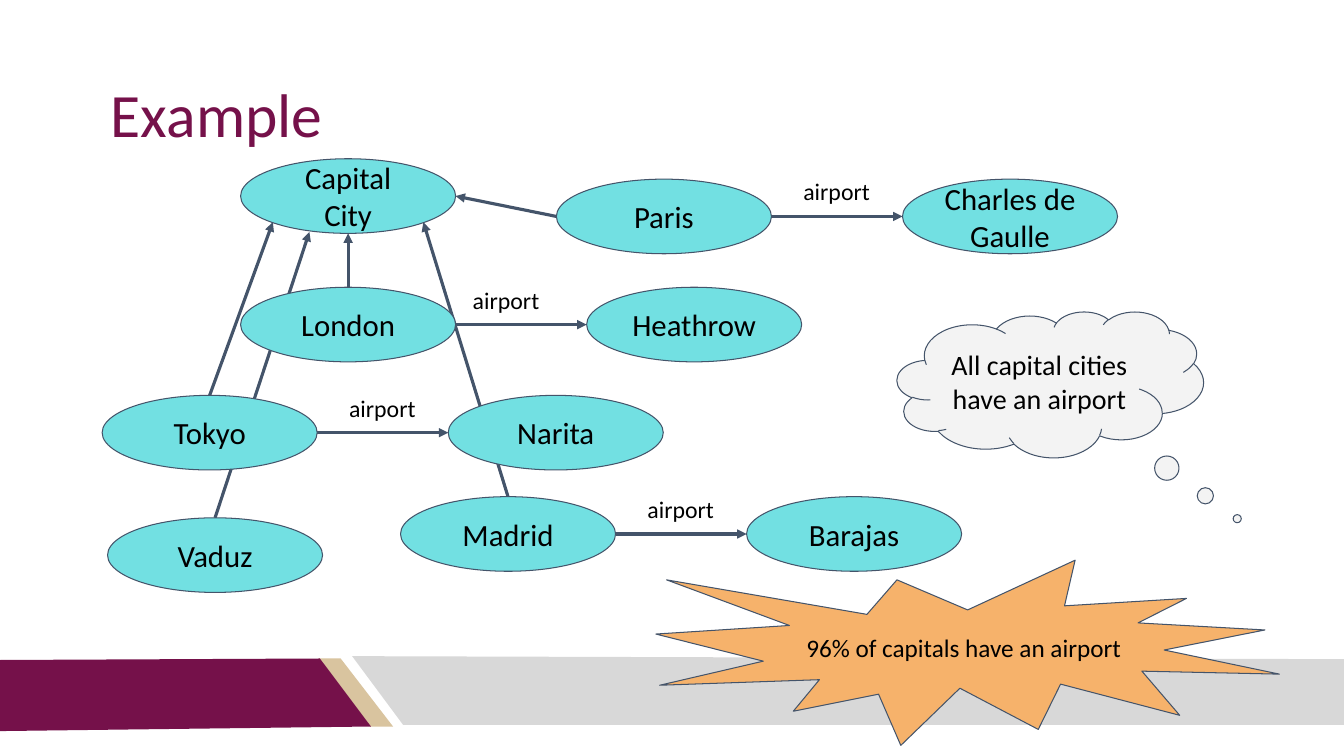
from lxml import etree
from pptx import Presentation
from pptx.dml.color import RGBColor
from pptx.enum.shapes import MSO_CONNECTOR as Connector, MSO_SHAPE as Shape
from pptx.enum.text import MSO_ANCHOR as Anchor, MSO_AUTO_SIZE as AutoSize, PP_ALIGN as Align
from pptx.oxml.ns import qn
from pptx.util import Inches, Pt

SLIDE_WIDTH, SLIDE_HEIGHT = Inches(13.33), Inches(7.5)
FONT = "Calibri"
COLORS = {
    "maroon": "75114A", "tan": "D9C49F", "band": "D8D8D8",
    "node": "72E0E2", "cloud": "F3F3F3", "burst": "F6B26B",
    "outline": "44546A", "text": "000000",
}

# All lengths are percent of the slide's width and height
NODE_WIDTH, NODE_HEIGHT = 16, 9.87
AIRPORT_STEP = 25.75
LABEL_WIDTH, LABEL_HEIGHT, LABEL_RISE = 7.5, 6.5, 1.6
CLASS_NODE = ("Capital City", 17.9, 21)

# Points on an oval, as shares of its width and height
TOP, LEFT, BOTTOM, RIGHT = (0.5, 0), (0, 0.5), (0.5, 1), (1, 0.5)
LOWER_LEFT, LOWER_RIGHT, NEAR_BOTTOM = (0.15, 0.85), (0.85, 0.85), (0.32, 0.98)

# City, left, top, airport, label gap, arrow start, arrow end on the class oval
CITIES = [
    ("London", 17.9, 38, "Heathrow", 0, TOP, BOTTOM),
    ("Tokyo", 7.6, 52.3, "Narita", 1.1, TOP, LOWER_LEFT),
    ("Paris", 41.4, 23.7, "Charles de Gaulle", 1.1, LEFT, RIGHT),
    ("Madrid", 29.8, 65.7, "Barajas", 1.1, TOP, LOWER_RIGHT),
    ("Vaduz", 8, 68.5, None, 0, TOP, NEAR_BOTTOM),
]

FOOTER = [
    ("tan", [(23.7, 87.1), (25.35, 87.1), (29.25, 96.1), (27.55, 96.1)]),
    ("maroon", [(0, 87.3), (23.8, 87.1), (27.6, 96.1), (0, 96.7)]),
    ("band", [(26.2, 86.8), (100, 87.2), (100, 95.9), (30, 95.9)]),
]


def color(name):
    return RGBColor.from_string(COLORS[name])


def place(x, y):
    return round(SLIDE_WIDTH * x / 100), round(SLIDE_HEIGHT * y / 100)


def write(shape, text, size, ink="text", align=Align.CENTER, anchor=Anchor.MIDDLE):
    frame = shape.text_frame
    frame.text = text
    frame.word_wrap = True
    frame.vertical_anchor = anchor
    frame.margin_left = frame.margin_right = Inches(0.1)
    frame.margin_top = frame.margin_bottom = Inches(0.1)
    para = frame.paragraphs[0]
    para.alignment = align
    font = para.runs[0].font
    font.name, font.size = FONT, Pt(size)
    font.color.rgb = color(ink)


def add_title(page, text):
    title = page.shapes.title
    title.left, title.top = place(7.5, 5.9)
    title.width, title.height = place(86.25, 19.3)
    write(title, text, 44, "maroon", Align.LEFT)
    title.text_frame.auto_size = AutoSize.NONE
    title.text_frame.paragraphs[0].line_spacing = 0.9


def add_footer_part(page, fill, points):
    corners = [place(*point) for point in points]
    builder = page.shapes.build_freeform(*corners[0])
    builder.add_line_segments(corners[1:], close=True)
    part = builder.convert_to_shape()
    part.shadow.inherit = False
    part.fill.solid()
    part.fill.fore_color.rgb = color(fill)
    part.line.fill.background()


def add_figure(page, kind, x, y, width, height, fill, text, size):
    figure = page.shapes.add_shape(kind, *place(x, y), *place(width, height))
    figure.shadow.inherit = False
    figure.fill.solid()
    figure.fill.fore_color.rgb = color(fill)
    figure.line.color.rgb = color("outline")
    figure.line.width = Pt(0.75)
    write(figure, text, size)
    return figure


def add_node(page, text, x, y):
    add_figure(page, Shape.OVAL, x, y, NODE_WIDTH, NODE_HEIGHT, "node", text, 22)


def node_point(x, y, share):
    return place(x + NODE_WIDTH * share[0], y + NODE_HEIGHT * share[1])


def add_arrow(page, start, end):
    arrow = page.shapes.add_connector(Connector.STRAIGHT, *start, *end)
    arrow.line.color.rgb = color("outline")
    arrow.line.width = Pt(2.25)
    etree.SubElement(arrow.line._get_or_add_ln(), qn("a:tailEnd"), type="triangle")
    etree.SubElement(arrow._element.spPr, qn("a:effectLst"))


def add_label(page, text, x, y):
    box = page.shapes.add_textbox(*place(x, y), *place(LABEL_WIDTH, LABEL_HEIGHT))
    write(box, text, 17, anchor=Anchor.TOP)
    box.text_frame.auto_size = AutoSize.SHAPE_TO_FIT_TEXT


def add_graph(page):
    class_name, class_x, class_y = CLASS_NODE
    # Arrows lie behind the ovals
    for _, x, y, airport, _, start, end in CITIES:
        add_arrow(page, node_point(x, y, start), node_point(class_x, class_y, end))
        if airport:
            add_arrow(page, node_point(x, y, RIGHT),
                      node_point(x + AIRPORT_STEP, y, LEFT))
    # Ovals and relation labels
    add_node(page, class_name, class_x, class_y)
    for city, x, y, airport, gap, _, _ in CITIES:
        add_node(page, city, x, y)
        if airport:
            add_node(page, airport, x + AIRPORT_STEP, y)
            add_label(page, "airport", x + NODE_WIDTH + gap, y - LABEL_RISE)


def main():
    deck = Presentation()
    deck.slide_width, deck.slide_height = SLIDE_WIDTH, SLIDE_HEIGHT
    page = deck.slides.add_slide(deck.slide_layouts[5])

    # Footer band and title
    for fill, points in FOOTER:
        add_footer_part(page, fill, points)
    add_title(page, "Example")

    # Knowledge graph
    add_graph(page)

    # Callouts
    cloud = add_figure(page, Shape.CLOUD_CALLOUT, 66.75, 41.2, 22.8, 19.3,
                       "cloud", "All capital cities have an airport", 20)
    cloud.adjustments[0], cloud.adjustments[1] = 0.61, 0.92
    add_figure(page, Shape.EXPLOSION1, 48.8, 74.1, 46.4, 24.5,
               "burst", "96% of capitals have an airport", 18)

    deck.save("out.pptx")


if __name__ == "__main__":
    main()
